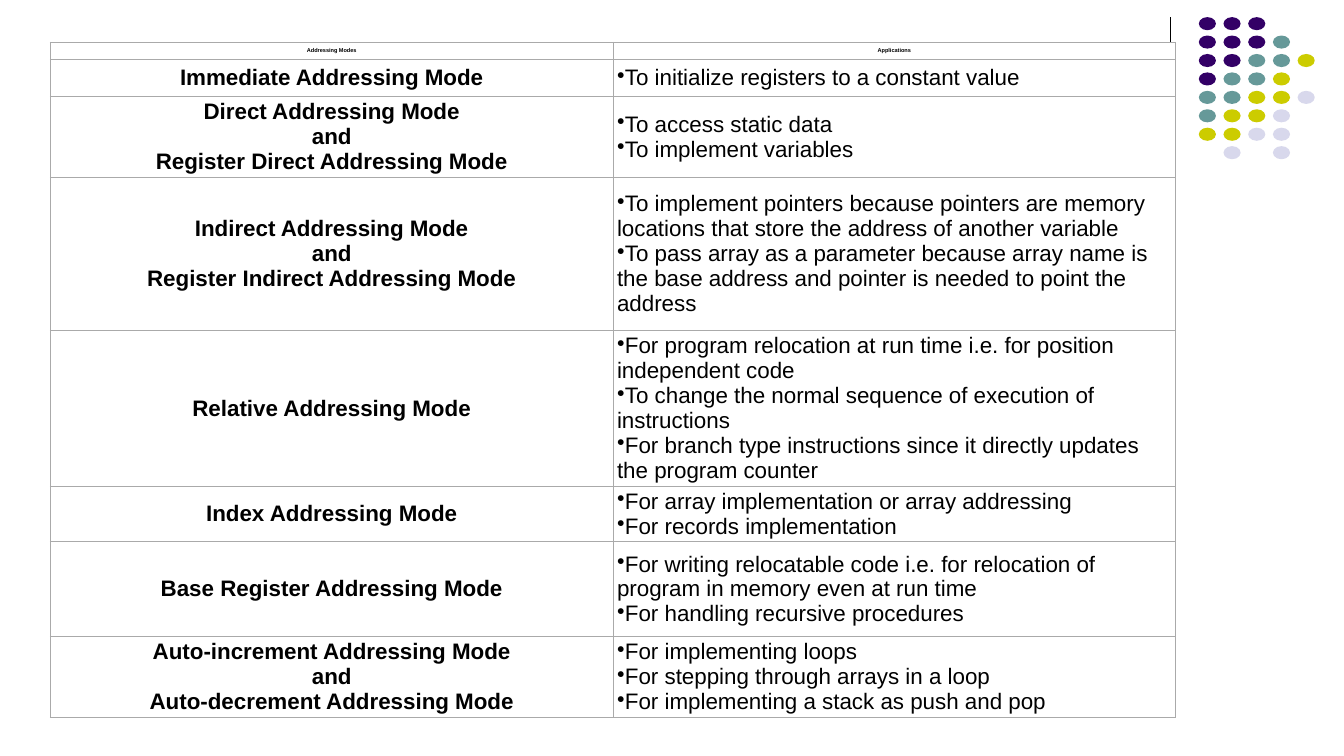
"""Build a slide with a table of addressing modes and their applications."""
import pptx
import pptx.dml.color
import pptx.enum.shapes
import pptx.enum.text
import pptx.oxml
import pptx.oxml.ns
import pptx.util
from lxml import etree

Inches = pptx.util.Inches
Pt = pptx.util.Pt
RGB = pptx.dml.color.RGBColor.from_string
qn = pptx.oxml.ns.qn

colors = {
    "ink": "000000", "paper": "FFFFFF", "rule": "AAAAAA",
    "P": "330066", "T": "669999", "Y": "CCCC00", "L": "D8D8EC",
}
dots = ["PPP", "PPPT", "PPTTY", "PTTY", "TTYYL", "TYYL", "YYLL", " L L"]
rows = [
    (0.17, ["Addressing Modes"], ["Applications"]),
    (0.37, ["Immediate Addressing Mode"],
     ["To initialize registers to a constant value"]),
    (0.66, ["Direct Addressing Mode", "and", "Register Direct Addressing Mode"],
     ["To access static data", "To implement variables"]),
    (1.52, ["Indirect Addressing Mode", "and", "Register Indirect Addressing Mode"],
     ["To implement pointers because pointers are memory locations that store "
      "the address of another variable",
      "To pass array as a parameter because array name is the base address "
      "and pointer is needed to point the address"]),
    (1.52, ["Relative Addressing Mode"],
     ["For program relocation at run time i.e. for position independent code",
      "To change the normal sequence of execution of instructions",
      "For branch type instructions since it directly updates the program counter"]),
    (0.51, ["Index Addressing Mode"],
     ["For array implementation or array addressing",
      "For records implementation"]),
    (0.94, ["Base Register Addressing Mode"],
     ["For writing relocatable code i.e. for relocation of program in memory "
      "even at run time",
      "For handling recursive procedures"]),
    (0.8, ["Auto-increment Addressing Mode", "and", "Auto-decrement Addressing Mode"],
     ["For implementing loops", "For stepping through arrays in a loop",
      "For implementing a stack as push and pop"]),
]

deck = pptx.Presentation()
deck.slide_width = Inches(13.33)
deck.slide_height = Inches(7.5)
slide = deck.slides.add_slide(deck.slide_layouts[6])

rule = slide.shapes.add_connector(
    pptx.enum.shapes.MSO_CONNECTOR.STRAIGHT,
    Inches(11.61), Inches(0.17), Inches(11.61), Inches(1.83))
rule.line.color.rgb = RGB(colors["ink"])
rule.line.width = Pt(0.75)
etree.SubElement(rule._element.spPr, qn("a:effectLst"))

step = (1.45 - 0.17) / (len(dots) - 1)
for r, line in enumerate(dots):
    for c, key in enumerate(line):
        if key == " ":
            continue
        dot = slide.shapes.add_shape(
            pptx.enum.shapes.MSO_SHAPE.OVAL,
            Inches(11.89 + 0.245 * c), Inches(0.17 + step * r),
            Inches(0.17), Inches(0.13))
        dot.shadow.inherit = False
        dot.fill.solid()
        dot.fill.fore_color.rgb = RGB(colors[key])
        dot.line.fill.background()

frame = slide.shapes.add_table(
    len(rows), 2, Inches(0.5), Inches(0.42), Inches(11.16),
    Inches(sum(row[0] for row in rows)))
table = frame.table
table.first_row = False
table.horz_banding = False
for column in table.columns:
    column.width = Inches(5.58)

for r, (height, *texts) in enumerate(rows):
    table.rows[r].height = Inches(height)
    for c, lines in enumerate(texts):
        cell = table.cell(r, c)
        cell.vertical_anchor = pptx.enum.text.MSO_ANCHOR.MIDDLE
        cell.margin_left = cell.margin_right = Inches(0.04)
        cell.margin_top = cell.margin_bottom = Inches(0.03)
        props = cell._tc.get_or_add_tcPr()
        for side in ("a:lnL", "a:lnR", "a:lnT", "a:lnB"):
            edge = etree.SubElement(props, qn(side), w=str(Pt(0.75)))
            paint = etree.SubElement(edge, qn("a:solidFill"))
            etree.SubElement(paint, qn("a:srgbClr"), val=colors["rule"])
        cell.fill.solid()
        cell.fill.fore_color.rgb = RGB(colors["paper"])

        bullet = r > 0 and c == 1
        for i, text in enumerate(lines):
            body = cell.text_frame
            para = body.paragraphs[0] if i == 0 else body.add_paragraph()
            if bullet:
                form = para._p.get_or_add_pPr()
                form.set("marL", "0")
                form.set("indent", "0")
                etree.SubElement(form, qn("a:buChar"), char="•")
            else:
                para.alignment = pptx.enum.text.PP_ALIGN.CENTER
            run = para.add_run()
            run.text = text
            run.font.name = "Arial"
            run.font.size = Pt(16 if r else 4)
            run.font.bold = not bullet
            run.font.color.rgb = RGB(colors["ink"])

deck.save("out.pptx")
